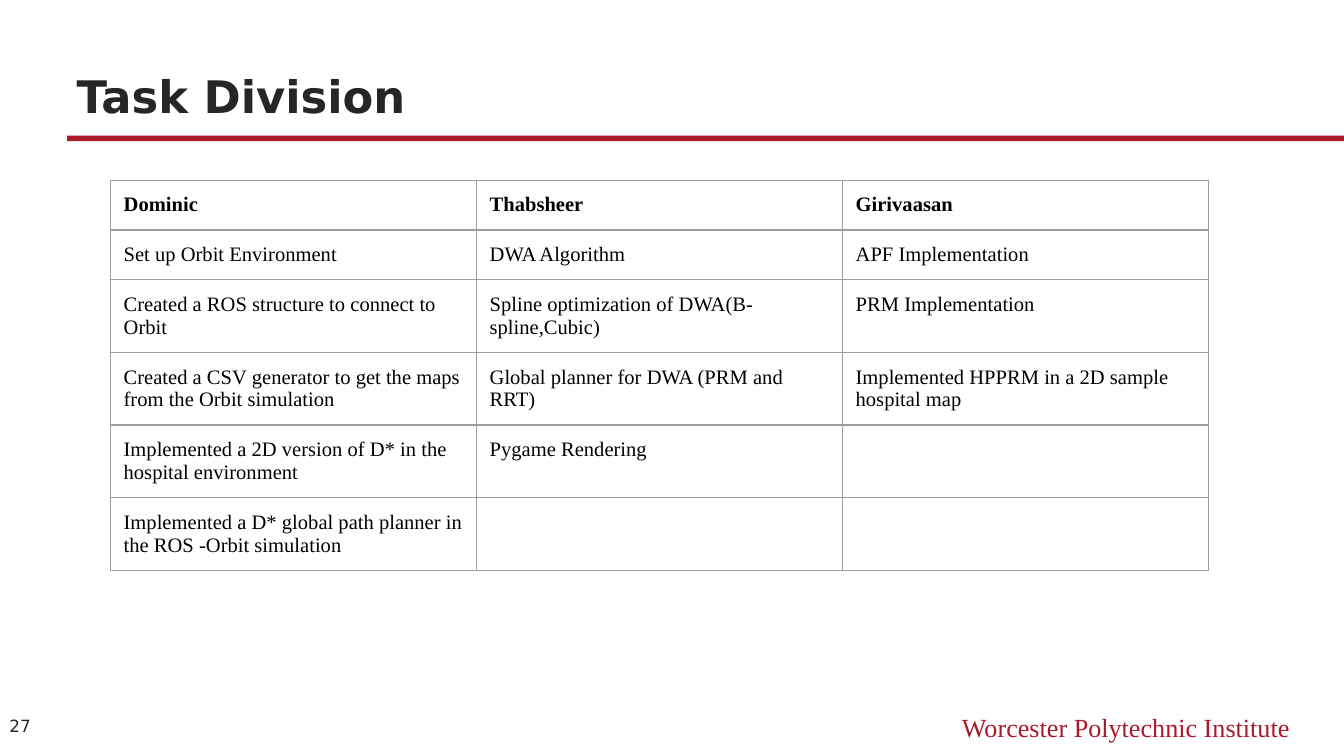
from dataclasses import dataclass

from lxml.etree import SubElement
from pptx import Presentation
from pptx.dml.color import RGBColor
from pptx.enum.shapes import MSO_SHAPE as Shape
from pptx.enum.text import MSO_ANCHOR as Anchor, MSO_AUTO_SIZE as AutoSize, PP_ALIGN as Align
from pptx.oxml.ns import qn
from pptx.util import Inches, Pt

RED, DARK, BLACK, GREY = "AB192D", "262626", "000000", "9E9E9E"
SERIF, SANS = "Times New Roman", "DejaVu Sans"
SLIDE_WIDTH = 10
SLIDE_HEIGHT = SLIDE_WIDTH * 9 / 16
TABLE_LEFT, TABLE_TOP, TABLE_WIDTH = 0.82, 1.34, 8.17
ROW_HEIGHTS = [0.37] * 2 + [0.54] * 4
CELL_MARGIN = 0.1

TASKS = {
    "Dominic": [
        "Set up Orbit Environment",
        "Created a ROS structure to connect to Orbit",
        "Created a CSV generator to get the maps from the Orbit simulation",
        "Implemented a 2D version of D* in the hospital environment",
        "Implemented a D* global path planner in the ROS -Orbit simulation",
    ],
    "Thabsheer": [
        "DWA Algorithm",
        "Spline optimization of DWA(B-spline,Cubic)",
        "Global planner for DWA (PRM and RRT)",
        "Pygame Rendering",
    ],
    "Girivaasan": [
        "APF Implementation",
        "PRM Implementation",
        "Implemented HPPRM in a 2D sample hospital map",
    ],
}


@dataclass
class Style:
    name: str
    size: float
    color: str
    bold: bool = False


@dataclass
class Label:
    text: str
    left: float
    top: float
    width: float
    height: float
    style: Style
    anchor: Anchor = Anchor.TOP
    align: Align = Align.LEFT


TITLE = Label("Task Division", 0.5, 0.29, 9, 0.66, Style(SANS, 24, DARK, True), Anchor.BOTTOM)
LABELS = [
    Label("Worcester Polytechnic Institute", 6, 5.25, 3.67, 0.31,
          Style(SERIF, 14, RED), align=Align.RIGHT),
    Label("27", 0, 5.24, 0.5, 0.32, Style(SANS, 9, DARK), Anchor.MIDDLE),
]


def rgb(value: str) -> RGBColor:
    return RGBColor.from_string(value)


def apply(target, formats: dict) -> None:
    for name, value in formats.items():
        setattr(target, name, value)


def write(para, text: str, style: Style) -> None:
    span = para.add_run()
    span.text = text
    apply(span.font, {"name": style.name, "size": Pt(style.size), "bold": style.bold})
    span.font.color.rgb = rgb(style.color)


def fill_label(box, label: Label) -> None:
    apply(box, {name: Inches(getattr(label, name))
                for name in ("left", "top", "width", "height")})
    frame = box.text_frame
    apply(frame, {
        "word_wrap": True, "auto_size": AutoSize.NONE, "vertical_anchor": label.anchor,
        "margin_left": Inches(0.07), "margin_right": Inches(0.07),
        "margin_top": Inches(0.04), "margin_bottom": Inches(0.04),
    })
    para = frame.paragraphs[0]
    para.alignment = label.align
    write(para, label.text, label.style)


def add_rule(page) -> None:
    rule = page.shapes.add_shape(Shape.RECTANGLE, Inches(0.5), Inches(1.01),
                                 Inches(9.5), Inches(0.04))
    rule.shadow.inherit = False
    rule.fill.solid()
    rule.fill.fore_color.rgb = rgb(RED)
    rule.line.fill.background()


def add_borders(cell, color: str, width: float) -> None:
    properties = cell._tc.get_or_add_tcPr()
    for index, side in enumerate(("lnL", "lnR", "lnT", "lnB")):
        line = properties.makeelement(qn(f"a:{side}"), {"w": str(Pt(width))})
        fill = SubElement(line, qn("a:solidFill"))
        SubElement(fill, qn("a:srgbClr"), val=color)
        properties.insert(index, line)


def add_tasks(page) -> None:
    table = page.shapes.add_table(
        len(ROW_HEIGHTS), len(TASKS), Inches(TABLE_LEFT), Inches(TABLE_TOP),
        Inches(TABLE_WIDTH), Inches(sum(ROW_HEIGHTS))).table
    apply(table, {"first_row": False, "horz_banding": False})
    for row, height in zip(table.rows, ROW_HEIGHTS):
        row.height = Inches(height)
    for column, (person, tasks) in enumerate(TASKS.items()):
        table.columns[column].width = Inches(TABLE_WIDTH / len(TASKS))
        entries = [person, *tasks]
        for row in range(len(ROW_HEIGHTS)):
            cell = table.cell(row, column)
            apply(cell, {f"margin_{side}": Inches(CELL_MARGIN)
                         for side in ("left", "right", "top", "bottom")})
            cell.fill.background()
            add_borders(cell, GREY, 0.75)
            para = cell.text_frame.paragraphs[0]
            if row < len(entries):
                write(para, entries[row], Style(SERIF, 11, BLACK, row == 0))


def main() -> None:
    deck = Presentation()
    apply(deck, {"slide_width": Inches(SLIDE_WIDTH), "slide_height": Inches(SLIDE_HEIGHT)})
    page = deck.slides.add_slide(deck.slide_layouts.get_by_name("Title Only"))
    add_rule(page)
    fill_label(page.shapes.title, TITLE)
    for label in LABELS:
        box = page.shapes.add_textbox(0, 0, 0, 0)
        fill_label(box, label)
    add_tasks(page)
    deck.save("out.pptx")


if __name__ == "__main__":
    main()
